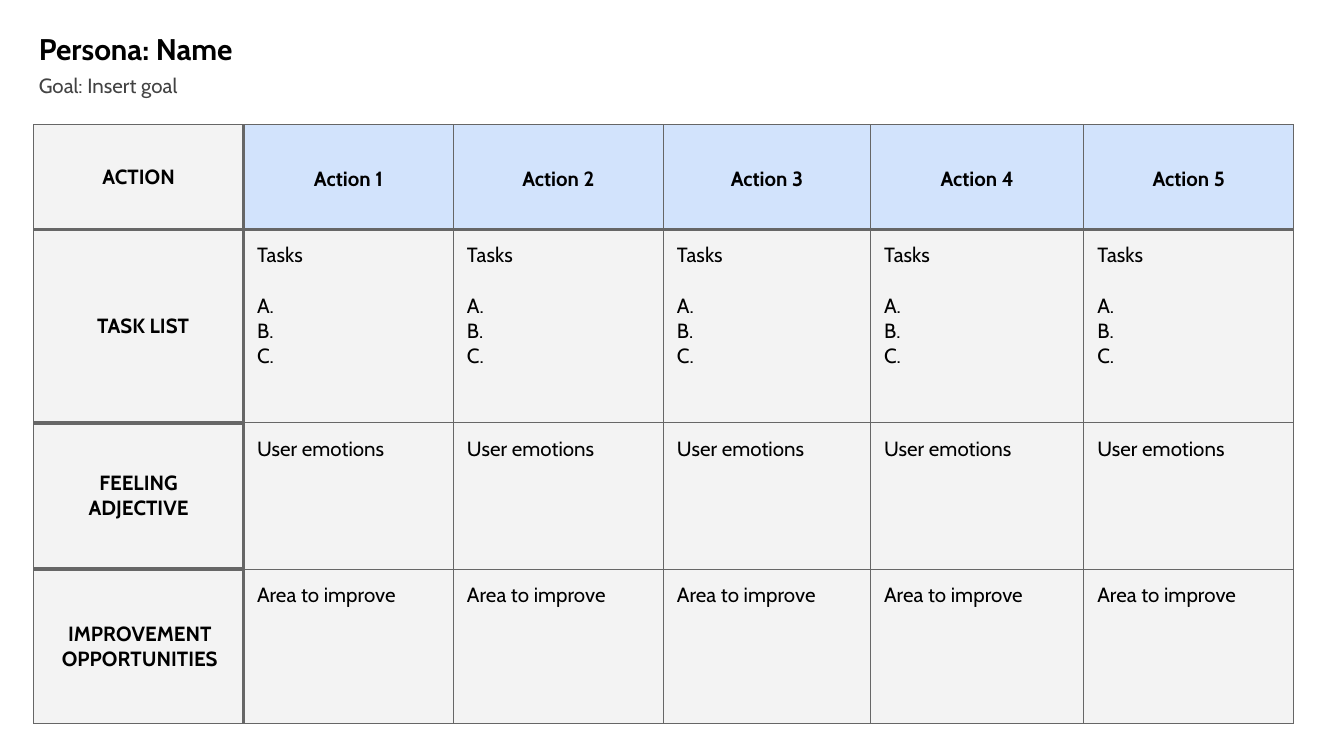
from lxml.etree import SubElement
from pptx import Presentation
from pptx.dml.color import RGBColor
from pptx.enum.text import MSO_ANCHOR, PP_ALIGN
from pptx.oxml.ns import qn
from pptx.util import Pt

COLORS = {
    "ink": "000000",
    "goal": "434343",
    "grid": "666666",
    "action": "D2E3FC",
    "cell": "F3F3F3",
}
THIN, THICK = 0.75, 2.25
INSET = 7.2

# Formats for each part of the journey map
LABEL = {"alignment": PP_ALIGN.CENTER}
ACTION = {"alignment": PP_ALIGN.CENTER, "line_spacing": 1.15}
DETAIL = {"alignment": PP_ALIGN.LEFT}
TASK_HEADING = {**DETAIL, "space_after": Pt(13.5)}
GOAL = {**DETAIL, "space_after": Pt(3)}

COLUMN_WIDTHS = [112.5, 112.5, 112.5, 111, 114.25, 112.5]
ROWS = [  # label, height, left inset of the label, detail lines
    ("ACTION", 56.25, INSET, None),
    ("TASK LIST", 103.5, 12.2, ["Tasks", "A.", "B.", "C."]),
    ("FEELING ADJECTIVE", 78.5, INSET, ["User emotions"]),
    ("IMPROVEMENT OPPORTUNITIES", 82.5, 8.6, ["Area to improve"]),
]


def apply_format(target, values):
    for name, value in values.items():
        setattr(target, name, value)


def set_insets(target, left=INSET):
    for side in ("left", "top", "right", "bottom"):
        setattr(target, f"margin_{side}", Pt(left if side == "left" else INSET))


def write_line(paragraph, text, layout, size=11, bold=False, color="ink"):
    apply_format(paragraph, layout)
    run = paragraph.add_run()
    run.text = text
    apply_format(run.font, {"name": "Cabin", "size": Pt(size), "bold": bold})
    run.font.color.rgb = RGBColor.from_string(COLORS[color])


def add_heading(slide, text, left, top, width, height, layout, **font):
    frame = slide.shapes.add_textbox(Pt(left), Pt(top), Pt(width), Pt(height)).text_frame
    frame.word_wrap = True
    set_insets(frame)
    write_line(frame.paragraphs[0], text, layout, **font)


def set_borders(cell, row, column):
    # Thick rules frame the label column and the action row
    thick = {
        "L": column == 1,
        "R": column == 0,
        "T": row == 1 or (column == 0 and row > 1),
        "B": row == 0 or (column == 0 and row < len(ROWS) - 1),
    }
    properties = cell._tc.get_or_add_tcPr()
    for side, is_thick in thick.items():
        width = Pt(THICK if is_thick else THIN)
        line = SubElement(properties, qn(f"a:ln{side}"), w=str(width))
        fill = SubElement(line, qn("a:solidFill"))
        SubElement(fill, qn("a:srgbClr"), val=COLORS["grid"])


def fill_cell(cell, lines, color, anchor, bold=False):
    cell.fill.solid()
    cell.fill.fore_color.rgb = RGBColor.from_string(COLORS[color])
    cell.vertical_anchor = anchor
    for index, (text, layout) in enumerate(lines):
        frame = cell.text_frame
        paragraph = frame.add_paragraph() if index else frame.paragraphs[0]
        write_line(paragraph, text, layout, bold=bold)


def add_journey_map(slide):
    heights = [height for _, height, _, _ in ROWS]
    table = slide.shapes.add_table(
        len(ROWS), len(COLUMN_WIDTHS), Pt(18), Pt(66.75),
        Pt(sum(COLUMN_WIDTHS)), Pt(sum(heights)),
    ).table
    apply_format(table, {"first_row": False, "horz_banding": False})
    for column, width in zip(table.columns, COLUMN_WIDTHS):
        column.width = Pt(width)

    for row, (label, height, label_inset, details) in enumerate(ROWS):
        table.rows[row].height = Pt(height)
        for column in range(len(COLUMN_WIDTHS)):
            cell = table.cell(row, column)
            set_insets(cell, INSET if column else label_inset)
            set_borders(cell, row, column)
            if column == 0:
                fill_cell(cell, [(label, LABEL)], "cell", MSO_ANCHOR.MIDDLE, bold=True)
            elif details is None:
                action = [(f"Action {column}", ACTION)]
                fill_cell(cell, action, "action", MSO_ANCHOR.MIDDLE, bold=True)
            else:
                lines = [(text, TASK_HEADING if text == "Tasks" else DETAIL)
                         for text in details]
                fill_cell(cell, lines, "cell", MSO_ANCHOR.TOP)


def main():
    deck = Presentation()
    apply_format(deck, {"slide_width": Pt(720), "slide_height": Pt(405)})
    slide = deck.slides.add_slide(deck.slide_layouts[6])

    # Persona and goal
    add_heading(slide, "Persona: Name", 13.7, 9.4, 140.4, 31.7, DETAIL, size=16, bold=True)
    add_heading(slide, "Goal: Insert goal", 13.7, 32.4, 668.2, 21.6, GOAL, color="goal")

    # Actions with their tasks, feelings and improvements
    add_journey_map(slide)
    deck.save("out.pptx")


if __name__ == "__main__":
    main()
